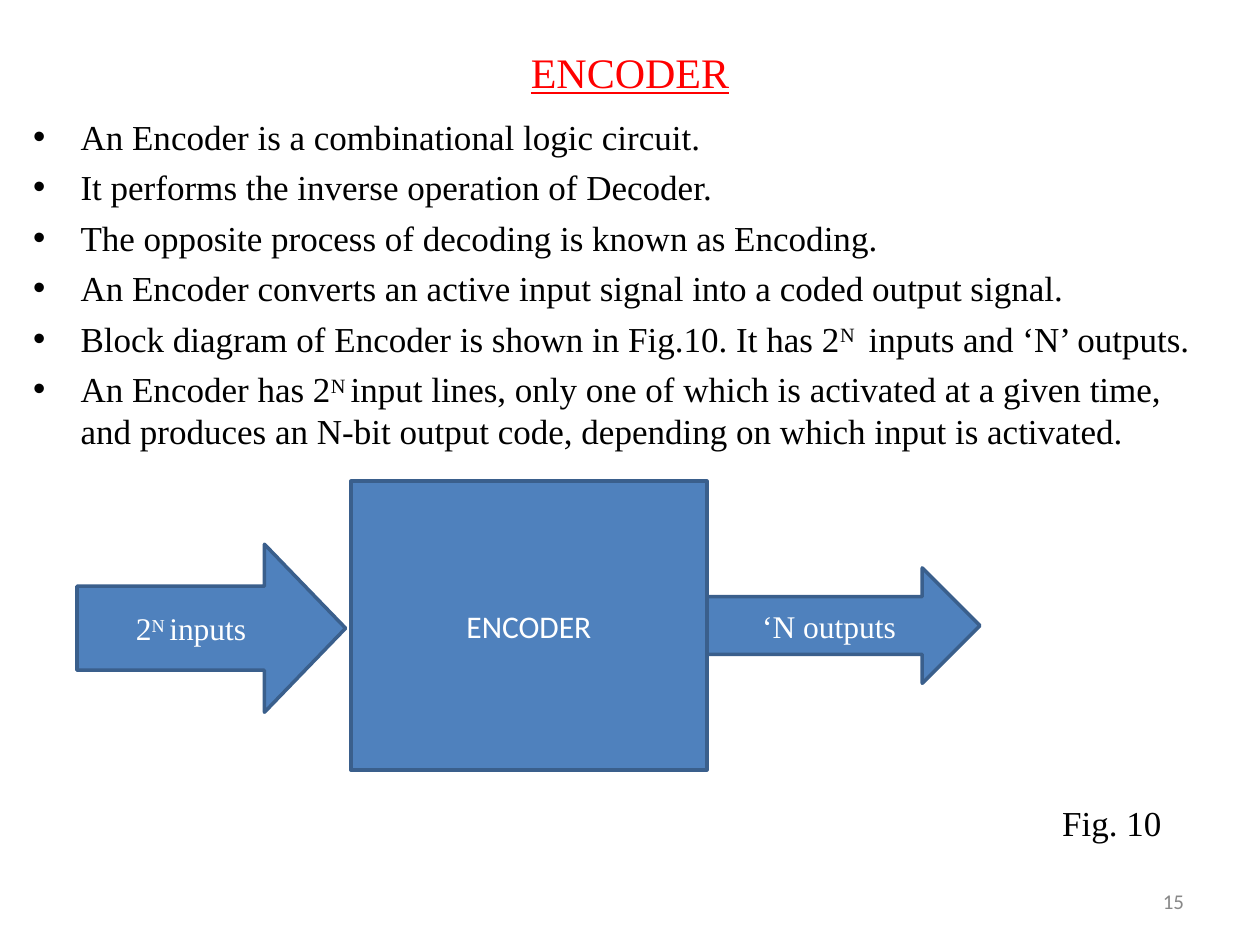
import pptx
import pptx.util
import pptx.dml.color
import pptx.enum.shapes
import pptx.enum.text
import lxml.etree
from pptx.oxml.ns import qn

Pt = pptx.util.Pt
RGBColor = pptx.dml.color.RGBColor
ShapeType = pptx.enum.shapes.MSO_SHAPE
Align = pptx.enum.text.PP_ALIGN
Anchor = pptx.enum.text.MSO_ANCHOR

BLACK = RGBColor(0x00, 0x00, 0x00)
WHITE = RGBColor(0xFF, 0xFF, 0xFF)
RED = RGBColor(0xFF, 0x00, 0x00)
GRAY = RGBColor(0x88, 0x88, 0x88)
BLUE = RGBColor(0x4F, 0x81, 0xBD)
DARK_BLUE = RGBColor(0x3A, 0x5F, 0x8C)
SERIF = "Times New Roman"
SANS = "Calibri"

BULLETS = [
    "An Encoder is a combinational logic circuit.",
    "It performs the inverse operation of Decoder.",
    "The opposite process of decoding is known as Encoding.",
    "An Encoder converts an active input signal into a coded output signal.",
    "Block diagram of Encoder is shown in Fig.10. It has 2^N ^ inputs and ‘N’ outputs.",
    "An Encoder has 2^N ^input lines, only one of which is activated at a given time, "
    "and produces an N-bit output code, depending on which input is activated.",
]


def write_text(paragraph, text, size=20, color=BLACK, font=SERIF, underline=None, align=None):
    paragraph.alignment = align
    for index, part in enumerate(text.split("^")):
        run = paragraph.add_run()
        run.text = part
        run.font.size = Pt(size)
        run.font.name = font
        run.font.color.rgb = color
        run.font.underline = underline
        if index % 2:
            run.font._element.set("baseline", "26000")


def set_frame(shape, top_inset=0, wrap=True):
    frame = shape.text_frame
    frame.margin_left = frame.margin_right = frame.margin_bottom = 0
    frame.margin_top = Pt(top_inset)
    frame.vertical_anchor = Anchor.TOP
    frame.word_wrap = wrap
    return frame


def add_bullet(paragraph):
    properties = paragraph._p.get_or_add_pPr()
    properties.set("marL", str(Pt(28)))
    properties.set("indent", str(-Pt(27)))
    lxml.etree.SubElement(properties, qn("a:buFont"), typeface="Arial")
    lxml.etree.SubElement(properties, qn("a:buChar"), char="•")


def place_title(slide, left, top, width, height):
    title = slide.shapes.title
    title.left, title.top, title.width, title.height = map(Pt, (left, top, width, height))
    frame = set_frame(title, top_inset=2, wrap=False)
    write_text(frame.paragraphs[0], "ENCODER", size=24, color=RED, underline=True,
               align=Align.CENTER)


def place_bullets(slide, left, top, width, height):
    box = slide.shapes.add_textbox(*map(Pt, (left, top, width, height)))
    frame = set_frame(box, top_inset=9)
    for index, text in enumerate(BULLETS):
        paragraph = frame.add_paragraph() if index else frame.paragraphs[0]
        add_bullet(paragraph)
        if index:
            paragraph.space_before = Pt(4.8)
        write_text(paragraph, text)


def place_label(slide, text, left, top, width, height, **text_format):
    box = slide.shapes.add_textbox(*map(Pt, (left, top, width, height)))
    write_text(set_frame(box, wrap=False).paragraphs[0], text, **text_format)


def add_block(slide, kind, text, left, top, width, height, font=SERIF):
    shape = slide.shapes.add_shape(kind, *map(Pt, (left, top, width, height)))
    shape.shadow.inherit = False
    shape.fill.solid()
    shape.fill.fore_color.rgb = BLUE
    shape.line.color.rgb = DARK_BLUE
    shape.line.width = Pt(2)
    shape.text_frame.vertical_anchor = Anchor.MIDDLE
    write_text(shape.text_frame.paragraphs[0], text, size=18, color=WHITE, font=font,
               align=Align.CENTER)
    return shape


def place_diagram(slide, left, top, width, height):
    middle = top + height / 2
    block_left, block_width = left + 156.5, 203.5
    block_right = block_left + block_width
    input_height, output_height = 96, 66
    add_block(slide, ShapeType.RECTANGLE, "ENCODER", block_left, top, block_width, height,
              font=SANS)
    arrow = add_block(slide, ShapeType.RIGHT_ARROW, "2^N ^inputs", left,
                      middle + 1.5 - input_height / 2, 153.5, input_height)
    arrow.adjustments[1] = 0.483
    add_block(slide, ShapeType.RIGHT_ARROW, "‘N outputs", block_right,
              middle - output_height / 2, left + width - block_right, output_height)


def main():
    presentation = pptx.Presentation()
    presentation.slide_width, presentation.slide_height = Pt(720), Pt(540)
    slide = presentation.slides.add_slide(presentation.slide_layouts[5])
    place_title(slide, 302.5, 24.5, 115, 31)
    place_bullets(slide, 18, 57, 669, 199)
    place_diagram(slide, 44, 275, 516, 165)
    place_label(slide, "Fig. 10", 607, 458, 58, 26)
    place_label(slide, "15", 664.5, 508, 15, 14, size=12, color=GRAY, font=SANS)
    presentation.save("out.pptx")


if __name__ == "__main__":
    main()
